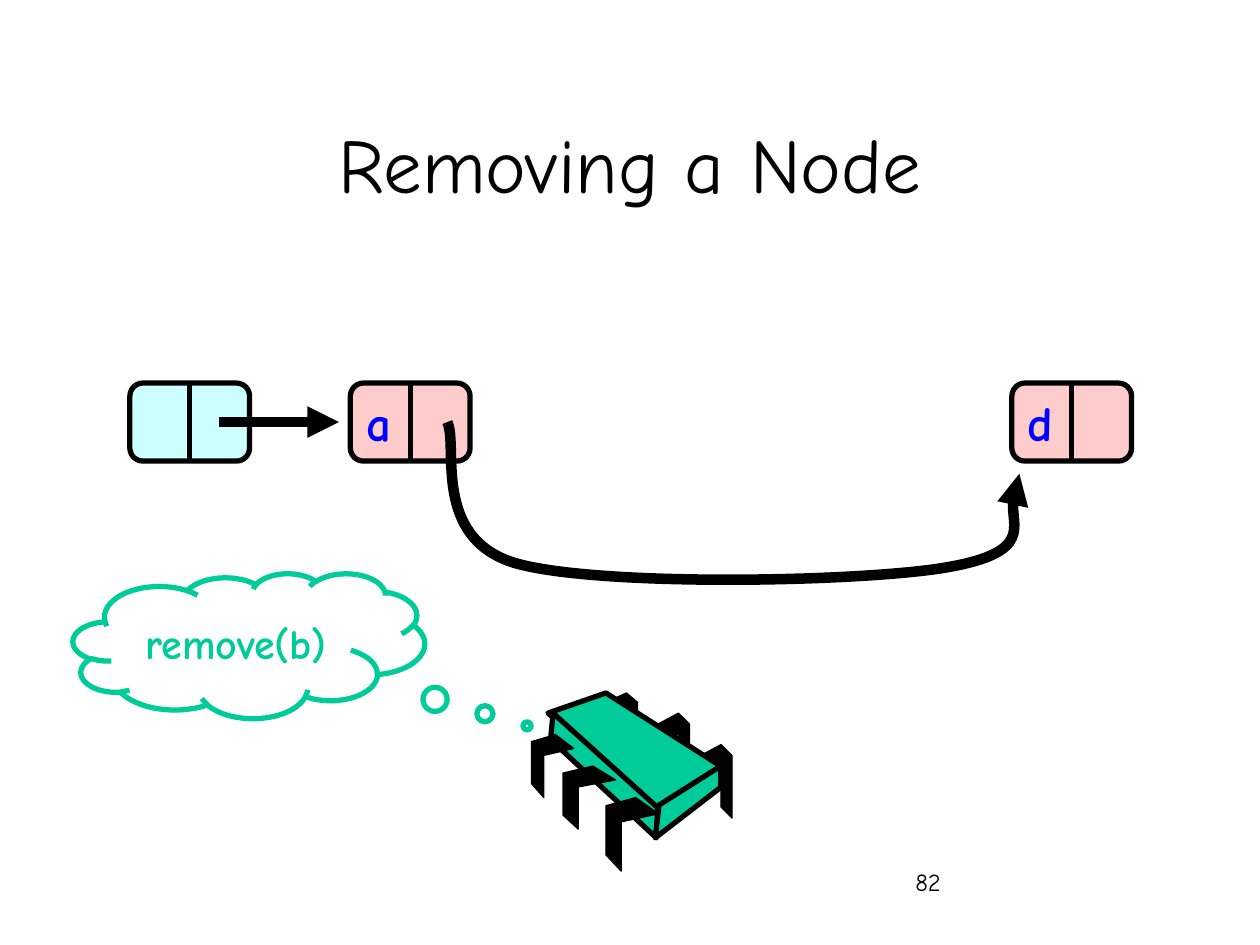
from typing import NamedTuple, Optional

from lxml.etree import SubElement
from pptx import Presentation
from pptx.dml.color import RGBColor
from pptx.enum.shapes import MSO_CONNECTOR, MSO_SHAPE
from pptx.enum.text import MSO_ANCHOR, PP_ALIGN
from pptx.oxml.ns import qn
from pptx.util import Pt

FONT = "Comic Neue"
COLORS = {
    "black": "000000",
    "head": "CCFFFF",
    "node": "FFCCCC",
    "letter": "0000FF",
    "green": "00CC99",
}
NODE_TOP, NODE_WIDTH, NODE_HEIGHT = 218.9, 68.4, 44.6
LINK_Y = NODE_TOP + NODE_HEIGHT / 2

Points = list[tuple[float, float]]


class Node(NamedTuple):
    left: float
    fill: str
    letter: str = ""


class Leg(NamedTuple):
    outline: Points
    left: float
    top: float
    width: float
    height: float


class Face(NamedTuple):
    corners: Points


NODES = [Node(74.2, "head"), Node(200.2, "node", "a"), Node(578.2, "node", "d")]

# Leg outlines as fractions of the leg's width and height
BACK_LEG = [(0, 0.15), (0.65, 0), (1, 0.15), (1, 1), (0.65, 0.85), (0.65, 0.28), (0, 0.42)]
FRONT_LEG = [(0.57, 0), (1, 0.22), (0.29, 0.33), (0.29, 1), (0, 0.78), (0, 0.11)]

CHIP = [
    Leg(BACK_LEG, 400.3, 425.5, 18, 42),
    Leg(BACK_LEG, 376, 407.5, 18, 42),
    Leg(BACK_LEG, 346.3, 396, 18, 36),
    Face([(346.3, 396), (411.8, 437.8), (375.1, 463), (313.2, 407.5)]),
    Face([(316.1, 407.5), (375.8, 461.5), (375.1, 478.8), (314.6, 422.6)]),
    Face([(411.8, 437.8), (411.8, 450), (374.4, 478.8), (376.6, 460.1)]),
    Leg(FRONT_LEG, 346.3, 455.8, 30, 42),
    Leg(FRONT_LEG, 321.8, 437.8, 30, 36),
    Leg(FRONT_LEG, 303.8, 419.8, 24, 36),
]

# Start point, then two control points and an end point per curve segment
BYPASS = [
    (255.6, 241.2),
    (262.1, 254.2), (246.2, 307.4), (294.5, 321.8),
    (342, 335.5), (494.6, 332.6), (542.2, 324),
    (590.4, 315.4), (573.8, 281.5), (582.5, 270.7),
]


def color(name: str) -> RGBColor:
    return RGBColor.from_string(COLORS[name])


def style_shape(shape, fill: Optional[str], line: str, width: float) -> None:
    shape.shadow.inherit = False
    if fill:
        shape.fill.solid()
        shape.fill.fore_color.rgb = color(fill)
    else:
        shape.fill.background()
    shape.line.color.rgb = color(line)
    shape.line.width = Pt(width)


def write_text(shape, text: str, size: float, name: str, align: PP_ALIGN,
               bold: bool = False) -> None:
    paragraph = shape.text_frame.paragraphs[0]
    paragraph.text = text
    paragraph.alignment = align
    paragraph.font.name = FONT
    paragraph.font.size = Pt(size)
    paragraph.font.bold = bold
    paragraph.font.color.rgb = color(name)


def add_line(slide, start: tuple[float, float], end: tuple[float, float], width: float):
    connector = slide.shapes.add_connector(
        MSO_CONNECTOR.STRAIGHT, *(Pt(value) for value in (*start, *end)))
    connector.line.color.rgb = color("black")
    connector.line.width = Pt(width)
    SubElement(connector._element.spPr, qn("a:effectLst"))
    return connector


def add_arrowhead(shape) -> None:
    SubElement(shape.line._get_or_add_ln(), qn("a:tailEnd"), type="triangle")


def add_outline(slide, points: Points, close: bool = True):
    start, *rest = [(Pt(x), Pt(y)) for x, y in points]
    builder = slide.shapes.build_freeform(*start)
    builder.add_line_segments(rest, close=close)
    return builder.convert_to_shape()


def add_node(slide, node: Node) -> None:
    box = slide.shapes.add_shape(MSO_SHAPE.ROUNDED_RECTANGLE, Pt(node.left), Pt(NODE_TOP),
                                 Pt(NODE_WIDTH), Pt(NODE_HEIGHT))
    box.adjustments[0] = 0.167
    style_shape(box, node.fill, "black", 3)
    middle = node.left + NODE_WIDTH / 2
    divider = add_line(slide, (middle, NODE_TOP), (middle, NODE_TOP + NODE_HEIGHT), 3)
    divider.begin_connect(box, 0)
    divider.end_connect(box, 2)
    if node.letter:
        label = slide.shapes.add_textbox(Pt(node.left + 0.4), Pt(221), Pt(30.4), Pt(41))
        label.text_frame.word_wrap = False
        write_text(label, node.letter, 28, "letter", PP_ALIGN.RIGHT, bold=True)


def add_curve_arrow(slide, points: Points) -> None:
    """Draw an open line through the points, then turn each three segments into one curve."""
    curve = add_outline(slide, points, close=False)
    style_shape(curve, None, "black", 6)
    add_arrowhead(curve)
    segments = list(curve._element.iter(qn("a:lnTo")))
    for index in range(0, len(segments), 3):
        bezier = SubElement(segments[index].getparent(), qn("a:cubicBezTo"))
        for segment in segments[index:index + 3]:
            bezier.append(segment[0])
            segment.getparent().remove(segment)


def add_chip(slide) -> None:
    for part in CHIP:
        if isinstance(part, Leg):
            points = [(part.left + x * part.width, part.top + y * part.height)
                      for x, y in part.outline]
            style_shape(add_outline(slide, points), "black", "black", 0.75)
        else:
            style_shape(add_outline(slide, part.corners), "green", "black", 3)


def add_thought(slide) -> None:
    cloud = slide.shapes.add_shape(MSO_SHAPE.CLOUD_CALLOUT, Pt(41.8), Pt(327.6),
                                   Pt(200.9), Pt(82.8))
    cloud.adjustments[0] = 0.791
    cloud.adjustments[1] = 0.553
    style_shape(cloud, None, "green", 3)
    cloud.text_frame.vertical_anchor = MSO_ANCHOR.MIDDLE
    write_text(cloud, "remove(b)", 24, "green", PP_ALIGN.CENTER, bold=True)


def main() -> None:
    presentation = Presentation()
    presentation.slide_width, presentation.slide_height = Pt(720), Pt(540)
    slide = presentation.slides.add_slide(presentation.slide_layouts[5])

    title = slide.shapes.title
    title.left, title.top, title.width, title.height = Pt(54), Pt(48), Pt(612), Pt(90)
    title.text_frame.vertical_anchor = MSO_ANCHOR.MIDDLE
    write_text(title, "Removing a Node", 44, "black", PP_ALIGN.CENTER)

    page_number = slide.shapes.add_textbox(Pt(516), Pt(492), Pt(150), Pt(36))
    page_number.text_frame.word_wrap = True
    write_text(page_number, "82", 14, "black", PP_ALIGN.LEFT)

    for node in NODES:
        add_node(slide, node)
    add_arrowhead(add_line(slide, (125.3, LINK_Y), (193.7, LINK_Y), 6))
    add_curve_arrow(slide, BYPASS)
    add_chip(slide)
    add_thought(slide)
    presentation.save("out.pptx")


if __name__ == "__main__":
    main()
